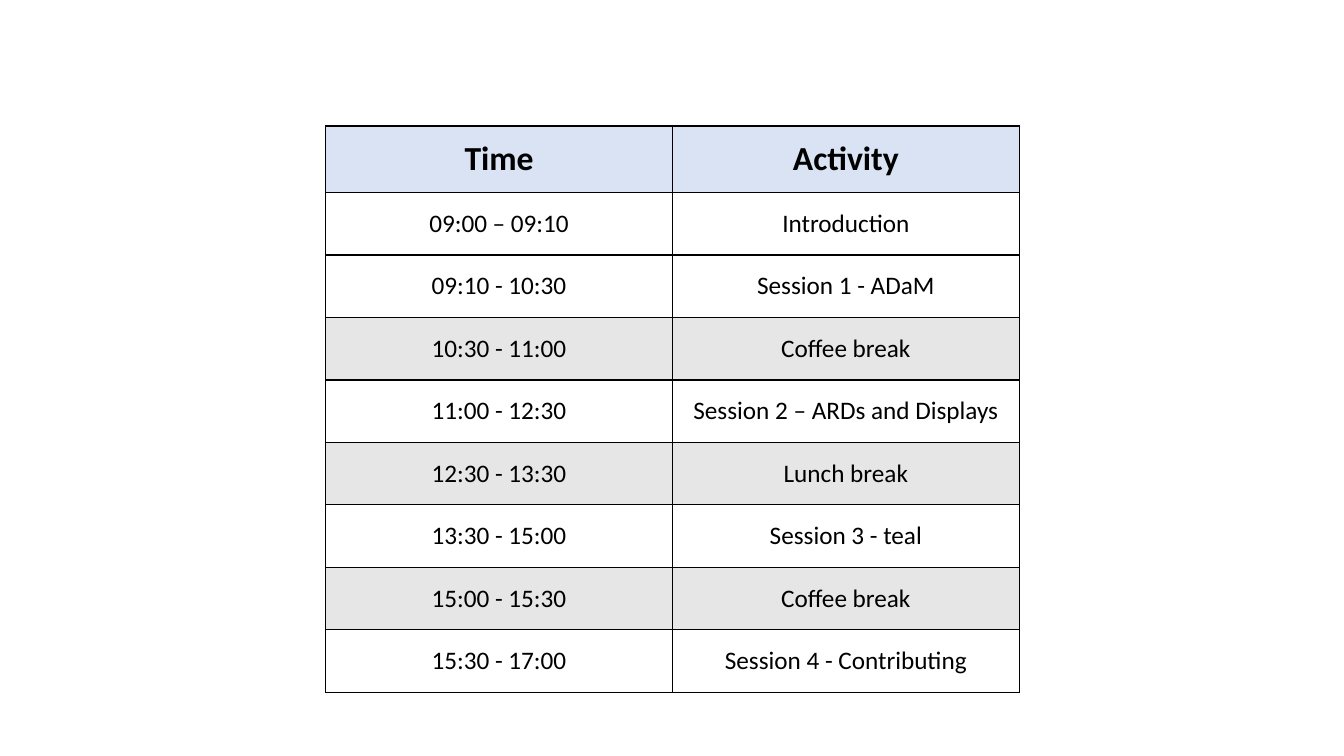
from dataclasses import dataclass

from lxml import etree
from pptx import Presentation
from pptx import util as u
from pptx.dml.color import RGBColor
from pptx.enum import text
from pptx.oxml.ns import qn


@dataclass(frozen=True)
class Theme:
    font: str = "Calibri"
    ink: str = "000000"
    header_fill: str = "DAE3F3"
    break_fill: str = "E7E6E6"
    header_size: int = 24
    body_size: int = 18
    border_width: int = 1


THEME = Theme()
SLIDE_WIDTH, SLIDE_HEIGHT = u.Inches(13.33), u.Inches(7.5)
AGENDA_LEFT, AGENDA_TOP = u.Inches(3.23), SLIDE_HEIGHT // 6
COLUMN_WIDTH = u.Inches(3.44)
HEADER_HEIGHT, SESSION_HEIGHT = u.Inches(0.66), u.Inches(0.62)
SIDE_MARGIN, END_MARGIN = u.Inches(0.14), u.Inches(0.06)

HEADINGS = ("Time", "Activity")
AGENDA = [
    ("09:00 – 09:10", "Introduction"),
    ("09:10 - 10:30", "Session 1 - ADaM"),
    ("10:30 - 11:00", "Coffee break"),
    ("11:00 - 12:30", "Session 2 – ARDs and Displays"),
    ("12:30 - 13:30", "Lunch break"),
    ("13:30 - 15:00", "Session 3 - teal"),
    ("15:00 - 15:30", "Coffee break"),
    ("15:30 - 17:00", "Session 4 - Contributing"),
]


def add_borders(cell):
    """Outline all four sides; call before filling, as the schema puts lines first."""
    properties = cell._tc.get_or_add_tcPr()
    for side in ("lnL", "lnR", "lnT", "lnB"):
        border = etree.SubElement(properties, qn(f"a:{side}"),
                                  w=str(u.Pt(THEME.border_width)))
        solid = etree.SubElement(border, qn("a:solidFill"))
        etree.SubElement(solid, qn("a:srgbClr"), val=THEME.ink)


def fill_cell(cell, color):
    if color is None:
        cell.fill.background()
    else:
        cell.fill.solid()
        cell.fill.fore_color.rgb = RGBColor.from_string(color)


def write_cell(cell, wording, size, bold):
    cell.margin_left = cell.margin_right = SIDE_MARGIN
    cell.margin_top = cell.margin_bottom = END_MARGIN
    cell.vertical_anchor = text.MSO_ANCHOR.MIDDLE
    cell.text_frame.text = wording
    paragraph = cell.text_frame.paragraphs[0]
    paragraph.alignment = text.PP_ALIGN.CENTER
    font = paragraph.runs[0].font
    font.name, font.size, font.bold = THEME.font, u.Pt(size), bold
    font.color.rgb = RGBColor.from_string(THEME.ink)


def write_row(row, entries, fill, size, bold=False):
    for cell, wording in zip(row.cells, entries):
        add_borders(cell)
        fill_cell(cell, fill)
        write_cell(cell, wording, size, bold)


def add_agenda(slide):
    frame = slide.shapes.add_table(
        len(AGENDA) + 1, len(HEADINGS), AGENDA_LEFT, AGENDA_TOP,
        COLUMN_WIDTH * len(HEADINGS),
        HEADER_HEIGHT + SESSION_HEIGHT * len(AGENDA))
    agenda = frame.table
    agenda.first_row = agenda.horz_banding = False
    for column in agenda.columns:
        column.width = COLUMN_WIDTH

    header, *sessions = agenda.rows
    header.height = HEADER_HEIGHT
    write_row(header, HEADINGS, THEME.header_fill, THEME.header_size, bold=True)
    for row, entries in zip(sessions, AGENDA):
        row.height = SESSION_HEIGHT
        is_break = entries[1].endswith("break")
        write_row(row, entries, THEME.break_fill if is_break else None,
                  THEME.body_size)


def main():
    deck = Presentation()
    deck.slide_width, deck.slide_height = SLIDE_WIDTH, SLIDE_HEIGHT
    add_agenda(deck.slides.add_slide(deck.slide_layouts[6]))
    deck.save("out.pptx")


if __name__ == "__main__":
    main()
